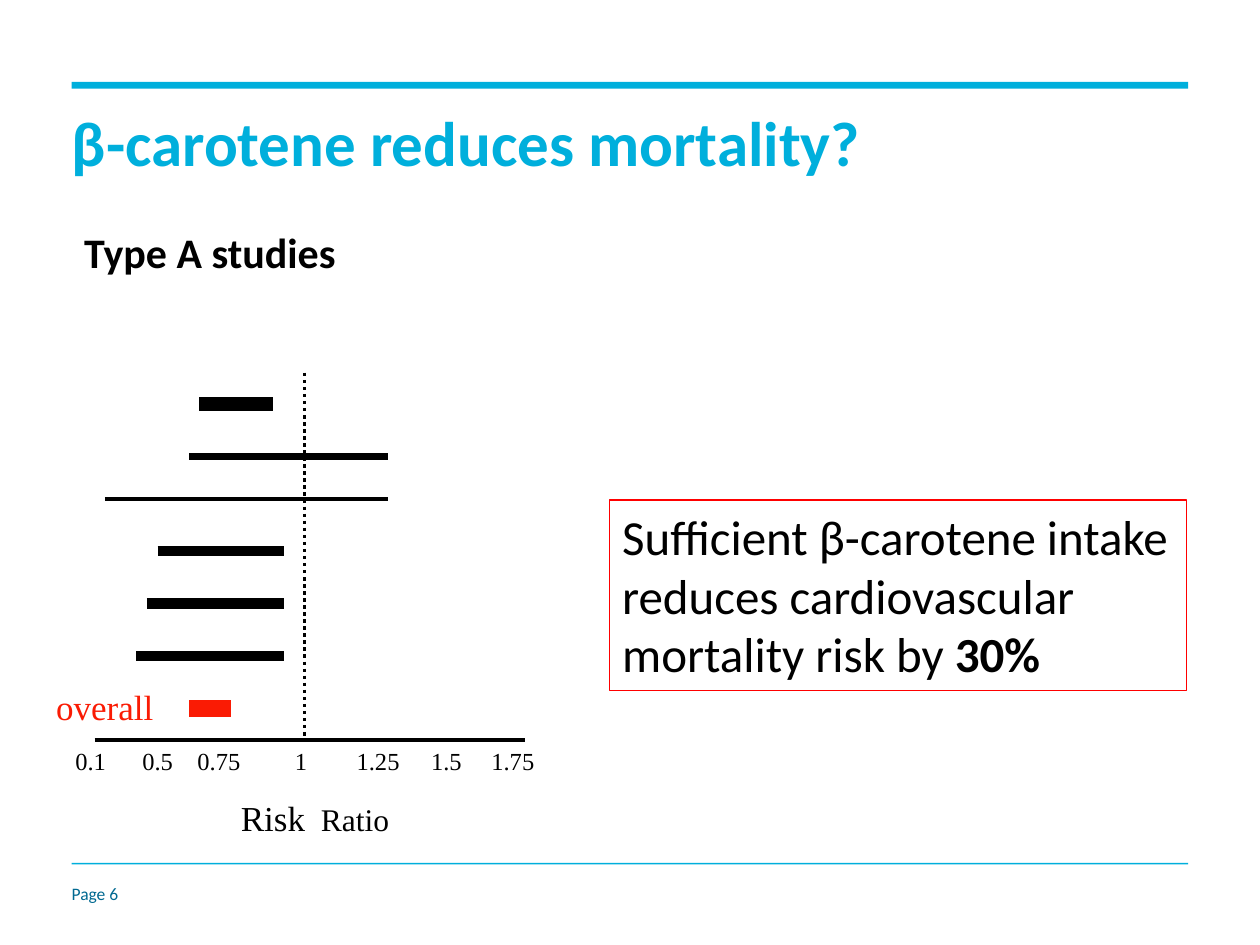
from dataclasses import dataclass

from lxml import etree
from pptx import Presentation
from pptx.dml.color import RGBColor
from pptx.enum import dml, shapes, text
from pptx.oxml.ns import qn
from pptx.util import Pt


@dataclass(frozen=True)
class Theme:
    accent: str = "00AFDC"
    footer: str = "006991"
    ink: str = "000000"
    overall: str = "FA1B04"
    frame: str = "FF0000"
    sans: str = "Calibri"
    serif: str = "Times New Roman"
    title_size: int = 36
    heading_size: int = 24
    message_size: int = 28
    label_size: int = 20
    unit_size: int = 18
    tick_size: int = 14
    footer_size: int = 10


THEME = Theme()
TITLE_ONLY = 5
MARGIN, CONTENT_WIDTH = 41, 638

# Left end, right end, height in the plot and line weight of each interval
STUDIES = [
    (78, 120, 18, 8),
    (72, 186, 48, 4),
    (24, 186, 72, 2),
    (54, 126, 102, 6),
    (48, 126, 132, 6),
    (42, 126, 162, 6),
]
OVERALL = (72, 96, 192, 10)
TICKS = ["0.1", "0.5", "0.75", "1", "1.25", "1.5", "1.75"]
TICK_STOPS = [47, 82, 129, 173, 212, 250]


def add_run(paragraph, content, size, color=THEME.ink, font=THEME.sans, bold=False):
    run = paragraph.add_run()
    run.text = content
    run.font.size = Pt(size)
    run.font.name = font
    run.font.bold = bold
    run.font.color.rgb = RGBColor.from_string(color)


def set_frame(shape, inset=(7.2, 3.6), anchor=text.MSO_ANCHOR.TOP, wrap=True):
    """Lay out the text frame and return its first paragraph."""
    frame = shape.text_frame
    frame.auto_size = text.MSO_AUTO_SIZE.NONE
    frame.word_wrap = wrap
    frame.vertical_anchor = anchor
    frame.margin_left = frame.margin_right = Pt(inset[0])
    frame.margin_top = frame.margin_bottom = Pt(inset[1])
    paragraph = frame.paragraphs[0]
    paragraph.alignment = text.PP_ALIGN.LEFT
    return paragraph


def add_text_box(slide, box, **layout):
    return set_frame(slide.shapes.add_textbox(*map(Pt, box)), **layout)


def add_rectangle(slide, box, fill=None, line=None):
    shape = slide.shapes.add_shape(shapes.MSO_SHAPE.RECTANGLE, *map(Pt, box))
    shape.shadow.inherit = False
    for part, color in ((shape.fill, fill), (shape.line.fill, line)):
        if color:
            part.solid()
            part.fore_color.rgb = RGBColor.from_string(color)
        else:
            part.background()
    return shape


def add_line(slide, start, end, weight, color=THEME.ink, dash=None):
    line = slide.shapes.add_connector(
        shapes.MSO_CONNECTOR.STRAIGHT, *map(Pt, start + end))
    line.line.width = Pt(weight)
    line.line.color.rgb = RGBColor.from_string(color)
    if dash:
        line.line.dash_style = dash
    properties = line._element.find(qn("p:spPr"))
    etree.SubElement(properties, qn("a:effectLst"))


def set_centered_tabs(paragraph, stops):
    tabs = etree.SubElement(paragraph._p.get_or_add_pPr(), qn("a:tabLst"))
    for stop in stops:
        etree.SubElement(tabs, qn("a:tab"), pos=str(Pt(stop)), algn="ctr")


def add_header(slide, left, top, width):
    add_rectangle(slide, (left, top, width, 4), fill=THEME.accent)
    title = slide.shapes.title
    title.left, title.top = Pt(left), Pt(top + 13.5)
    title.width, title.height = Pt(width), Pt(42)
    paragraph = set_frame(title, (0, 0), text.MSO_ANCHOR.MIDDLE)
    paragraph.line_spacing = Pt(42)
    add_run(paragraph, "β-carotene reduces mortality?", THEME.title_size,
            THEME.accent, bold=True)


def add_heading(slide, left, top, width):
    paragraph = add_text_box(slide, (left, top, width, 34))
    paragraph.line_spacing = Pt(25)
    add_run(paragraph, "Type A studies", THEME.heading_size, bold=True)


def add_forest_plot(slide, left, top, width, height):
    """Draw the study intervals above a risk ratio axis at the bottom of the box."""
    bottom = top + height
    add_line(slide, (left + 18, bottom), (left + width - 24, bottom), 2)
    add_line(slide, (left + 138, top), (left + 138, bottom), 2,
             dash=dml.MSO_LINE.ROUND_DOT)

    intervals = [(study, THEME.ink) for study in STUDIES] + [(OVERALL, THEME.overall)]
    for (low, high, offset, weight), color in intervals:
        add_line(slide, (left + low, top + offset), (left + high, top + offset),
                 weight, color)

    ticks = add_text_box(slide, (left, bottom, width, 60))
    set_centered_tabs(ticks, TICK_STOPS)
    add_run(ticks, "\t".join(TICKS), THEME.tick_size, font=THEME.serif)
    caption = ticks._parent.add_paragraph()
    caption.alignment = text.PP_ALIGN.CENTER
    caption.space_before = Pt(12)
    add_run(caption, "Risk", THEME.label_size, font=THEME.serif)
    add_run(caption, "  Ratio", THEME.unit_size, font=THEME.serif)

    label = add_text_box(slide, (left - 11, top + 175, 71, 32), wrap=False)
    add_run(label, "overall", THEME.label_size, THEME.overall, THEME.serif)


def add_message(slide, *box):
    shape = add_rectangle(slide, box, line=THEME.frame)
    shape.line.width = Pt(0.75)
    paragraph = set_frame(shape)
    add_run(paragraph, "Sufficient β-carotene intake reduces cardiovascular "
            "mortality risk by ", THEME.message_size)
    add_run(paragraph, "30%", THEME.message_size, bold=True)


def add_footer(slide, left, top, width):
    add_rectangle(slide, (left, top, width, 1), fill=THEME.accent)
    paragraph = add_text_box(slide, (left, top + 11.5, 64, 12), inset=(0, 0),
                             anchor=text.MSO_ANCHOR.MIDDLE)
    paragraph.line_spacing = Pt(12)
    add_run(paragraph, "Page 6", THEME.footer_size, THEME.footer)


def main():
    presentation = Presentation()
    presentation.slide_width, presentation.slide_height = Pt(720), Pt(540)
    slide = presentation.slides.add_slide(presentation.slide_layouts[TITLE_ONLY])
    add_header(slide, MARGIN, 46.75, CONTENT_WIDTH)
    add_heading(slide, MARGIN, 129.5, CONTENT_WIDTH)
    add_forest_plot(slide, 36, 213, 288, 210)
    add_message(slide, 348.5, 285.75, 329.5, 108.75)
    add_footer(slide, MARGIN, 493, CONTENT_WIDTH)
    presentation.save("out.pptx")


if __name__ == "__main__":
    main()
